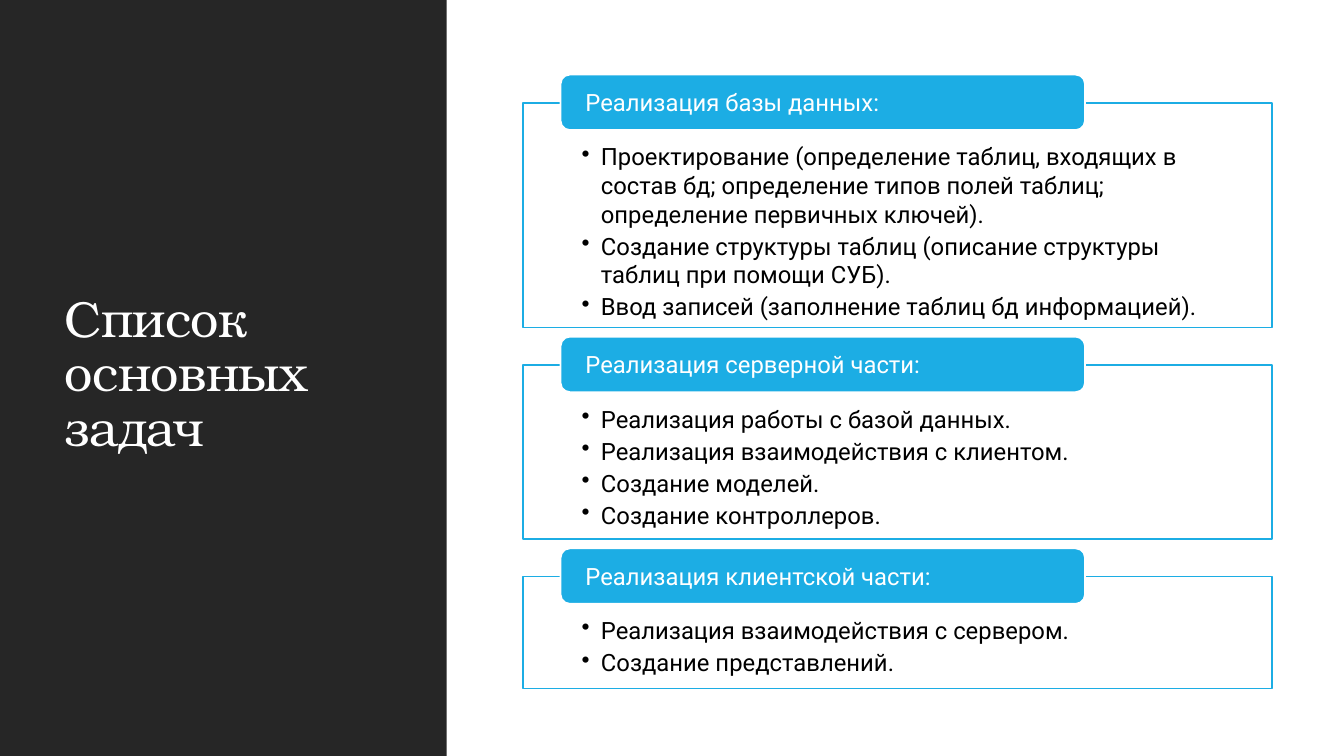
from lxml import etree
from pptx import Presentation
from pptx.dml.color import RGBColor
from pptx.enum.shapes import MSO_SHAPE
from pptx.enum.text import MSO_ANCHOR, MSO_AUTO_SIZE, PP_ALIGN
from pptx.oxml.ns import qn
from pptx.util import Inches, Pt

RECTANGLE = MSO_SHAPE.RECTANGLE
ROUNDED_RECTANGLE = MSO_SHAPE.ROUNDED_RECTANGLE
TOP, MIDDLE = MSO_ANCHOR.TOP, MSO_ANCHOR.MIDDLE
LEFT = PP_ALIGN.LEFT
NO_AUTOFIT = MSO_AUTO_SIZE.NONE

DARK = RGBColor(0x26, 0x26, 0x26)
WHITE = RGBColor(0xFF, 0xFF, 0xFF)
BLACK = RGBColor(0, 0, 0)
BLUE = RGBColor(0x1C, 0xAD, 0xE4)
TITLE_FONT, BODY_FONT = "TeX Gyre Bonum", "Roboto"
BODY_SIZE = 17

SECTION_LEFT, SECTION_TOP, SECTION_WIDTH, SECTION_GAP = 5.19, 1.02, 7.43, 0.37
SECTIONS = [
    ("Реализация базы данных:", 2.23, [
        "Проектирование (определение таблиц, входящих в состав бд; "
        "определение типов полей таблиц; определение первичных ключей).",
        "Создание структуры таблиц (описание структуры таблиц при помощи СУБ).",
        "Ввод записей (заполнение таблиц бд информацией).",
    ]),
    ("Реализация серверной части:", 1.73, [
        "Реализация работы с базой данных.",
        "Реализация взаимодействия с клиентом.",
        "Создание моделей.",
        "Создание контроллеров.",
    ]),
    ("Реализация клиентской части:", 1.11, [
        "Реализация взаимодействия с сервером.",
        "Создание представлений.",
    ]),
]


def add_box(slide, preset, box, fill, line=None):
    shape = slide.shapes.add_shape(preset, *(Inches(value) for value in box))
    shape.shadow.inherit = False
    shape.fill.solid()
    shape.fill.fore_color.rgb = fill
    if line is None:
        shape.line.fill.background()
    else:
        shape.line.color.rgb = line
        shape.line.width = Pt(1.25)
    return shape


def format_text(shape, anchor, insets, font_name, size, color):
    frame = shape.text_frame
    frame.word_wrap = True
    frame.auto_size = NO_AUTOFIT
    frame.vertical_anchor = anchor
    (frame.margin_left, frame.margin_top,
     frame.margin_right, frame.margin_bottom) = (Inches(inset) for inset in insets)
    for paragraph in frame.paragraphs:
        paragraph.alignment = LEFT
        for run in paragraph.runs:
            run.font.name = font_name
            run.font.size = Pt(size)
            run.font.color.rgb = color


def add_bullet(paragraph):
    properties = paragraph._p.get_or_add_pPr()
    properties.set("marL", str(Inches(0.19)))
    properties.set("indent", str(-Inches(0.19)))
    etree.SubElement(properties, qn("a:buChar")).set("char", "•")


def add_title_panel(slide, left, top, width, height):
    title = slide.shapes.title
    panel = add_box(slide, RECTANGLE, (left, top, width, height), DARK)
    title.element.addprevious(panel.element)
    title.left, title.top = Inches(left + 0.54), Inches(top + 0.57)
    title.width, title.height = Inches(width - 1.06), Inches(height - 1.19)
    title.text_frame.text = "Список основных задач"
    format_text(title, MIDDLE, (0.1, 0.05, 0.1, 0.05), TITLE_FONT, 36, WHITE)
    paragraph = title.text_frame.paragraphs[0]
    paragraph.line_spacing = 0.9
    paragraph.runs[0].font._element.set("spc", "-50")


def add_section(slide, left, top, width, height, heading, tasks):
    frame = add_box(slide, RECTANGLE, (left, top, width, height), WHITE, BLUE)
    frame.text_frame.text = "\n".join(tasks)
    format_text(frame, TOP, (0.58, 0.39, 0.58, 0.13), BODY_FONT, BODY_SIZE, BLACK)
    for paragraph in frame.text_frame.paragraphs:
        paragraph.space_after = Pt(BODY_SIZE * 0.15)
        add_bullet(paragraph)

    header_box = (left + 0.37, top - 0.28, width * 0.7, 0.55)
    header = add_box(slide, ROUNDED_RECTANGLE, header_box, BLUE, WHITE)
    header.text_frame.text = heading
    format_text(header, MIDDLE, (0.22, 0, 0.22, 0), BODY_FONT, BODY_SIZE, WHITE)


def add_sections(slide, left, top, width):
    for heading, height, tasks in SECTIONS:
        add_section(slide, left, top, width, height, heading, tasks)
        top += height + SECTION_GAP


def main():
    presentation = Presentation()
    presentation.slide_width = Inches(13.33)
    presentation.slide_height = Inches(7.5)
    slide = presentation.slides.add_slide(presentation.slide_layouts[5])
    slide.background.fill.solid()
    slide.background.fill.fore_color.rgb = WHITE
    add_title_panel(slide, 0, 0, 4.43, 7.5)
    add_sections(slide, SECTION_LEFT, SECTION_TOP, SECTION_WIDTH)
    presentation.save("out.pptx")


main()
